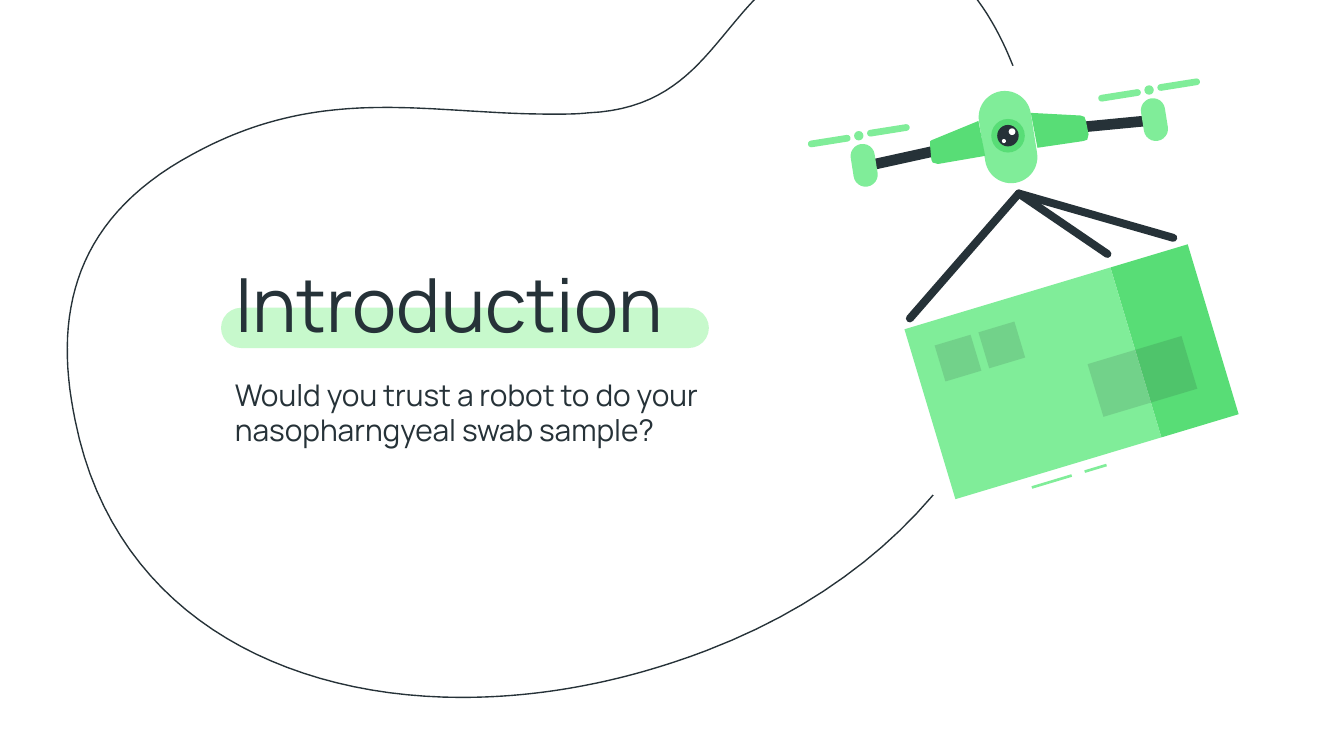
from dataclasses import dataclass
from math import cos, radians, sin

from lxml.etree import SubElement
from pptx import Presentation
from pptx.dml.color import RGBColor
from pptx.enum.shapes import MSO_CONNECTOR as Connector, MSO_SHAPE as Shape
from pptx.enum.text import MSO_ANCHOR as Anchor, MSO_AUTO_SIZE as AutoSize, PP_ALIGN as Align
from pptx.oxml.ns import qn
from pptx.util import Inches, Pt


@dataclass(frozen=True)
class Theme:
    font: str = "Manrope"
    title_size: int = 40
    body_size: int = 16
    ink: RGBColor = RGBColor(0x26, 0x32, 0x38)
    shade: RGBColor = RGBColor(0x1A, 0x23, 0x27)
    light: RGBColor = RGBColor(0x80, 0xED, 0x99)
    green: RGBColor = RGBColor(0x58, 0xDD, 0x76)
    highlight: RGBColor = RGBColor(0xC7, 0xF9, 0xCC)
    white: RGBColor = RGBColor(0xFF, 0xFF, 0xFF)


theme = Theme()
presentation = Presentation()
presentation.slide_width = Inches(10)
presentation.slide_height = presentation.slide_width * 9 // 16
column = row = presentation.slide_width // 10
slide = presentation.slides.add_slide(presentation.slide_layouts[5])
shapes = slide.shapes


def add_part(kind, center_x, center_y, width, height, colour, angle=0):
    part = shapes.add_shape(
        kind, int((center_x - width / 2) * column), int((center_y - height / 2) * row),
        int(width * column), int(height * row))
    part.rotation = angle
    part.shadow.inherit = False
    part.fill.solid()
    part.fill.fore_color.rgb = colour
    part.line.fill.background()
    if kind == Shape.ROUNDED_RECTANGLE:
        part.adjustments[0] = 0.5
    return part


def add_outline(points):
    corners = [(round(x * column), round(y * row)) for x, y in points]
    builder = shapes.build_freeform(*corners[0])
    builder.add_line_segments(corners[1:], close=True)
    outline = builder.convert_to_shape()
    outline.shadow.inherit = False
    return outline


start = (6.51, -0.44)
curves = [
    [(6.36, -0.44), (6.19, -0.4), (6.01, -0.31)],
    [(5.34, 0.04), (5.29, 0.8), (4.38, 0.84)],
    [(4.29, 0.85), (4.2, 0.85), (4.11, 0.85)],
    [(3.67, 0.85), (3.27, 0.8), (2.87, 0.8)],
    [(2.4, 0.8), (1.94, 0.87), (1.43, 1.15)],
    [(0.56, 1.62), (0.39, 2.32), (0.56, 3.13)],
    [(0.84, 4.53), (2.05, 5.19), (3.44, 5.19)],
    [(4.04, 5.19), (4.66, 5.07), (5.26, 4.84)],
    [(7.17, 4.11), (8.05, 2.42), (7.62, 0.74)],
    [(7.48, 0.23), (7.12, -0.44), start],
]
steps = 30
blob_points = [start]
for first, second, end in curves:
    origin = blob_points[-1]
    for step in range(1, steps + 1):
        t = step / steps
        blob_points.append(tuple(
            (1 - t) ** 3 * a + 3 * (1 - t) ** 2 * t * b + 3 * (1 - t) * t ** 2 * c + t ** 3 * d
            for a, b, c, d in zip(origin, first, second, end)))
blob = add_outline(blob_points)
blob.fill.background()
blob.line.color.rgb = theme.ink
blob.line.width = Pt(0.75)

add_part(Shape.ROUNDED_RECTANGLE, 3.46, 2.44, 3.63, 0.3, theme.highlight)

title = shapes.title
title.element.getparent().append(title.element)
subtitle = shapes.add_textbox(0, 0, column, row)
for box, text, size, top, height, space_after in [
    (title, "Introduction", theme.title_size, 1.82, 0.79, 0),
    (subtitle, "Would you trust a robot to do your nasopharngyeal swab sample?",
     theme.body_size, 2.7, 1.12, 16),
]:
    box.left, box.top = int(1.65 * column), int(top * row)
    box.width, box.height = int(4.23 * column), int(height * row)
    frame = box.text_frame
    frame.word_wrap = True
    frame.auto_size = AutoSize.NONE
    frame.vertical_anchor = Anchor.TOP
    frame.margin_left = frame.margin_right = Inches(0.1)
    frame.margin_top = frame.margin_bottom = Inches(0.1)
    frame.text = text
    paragraph = frame.paragraphs[0]
    paragraph.alignment = Align.LEFT
    paragraph.line_spacing = 1.0
    paragraph.space_after = Pt(space_after)
    paragraph.font.name = theme.font
    paragraph.font.size = Pt(size)
    paragraph.font.color.rgb = theme.ink

add_part(Shape.OVAL, 7.8, 2.19, 3.44, 3.44, theme.white)

parcel_left, parcel_top, parcel_tilt = 6.73, 2.45, -16.7
along, across = cos(radians(parcel_tilt)), sin(radians(parcel_tilt))
for left, top, width, height, colour in [
    (0.57, 1.39, 0.31, 0.02, theme.light),
    (0.98, 1.39, 0.17, 0.02, theme.light),
    (0, 0, 1.6, 1.32, theme.light),
    (1.6, 0, 0.6, 1.32, theme.green),
    (1.23, 0.64, 0.73, 0.41, theme.shade),
    (0.18, 0.18, 0.28, 0.28, theme.shade),
    (0.52, 0.18, 0.28, 0.28, theme.shade),
]:
    x, y = left + width / 2, top + height / 2
    panel = add_part(
        Shape.RECTANGLE, parcel_left + x * along - y * across,
        parcel_top + x * across + y * along, width, height, colour, parcel_tilt)
    if colour == theme.shade:
        fill_colour = panel.element.spPr.find(qn("a:solidFill")).find(qn("a:srgbClr"))
        SubElement(fill_colour, qn("a:alpha"), val="13000")

drone_tilt = -9
add_part(Shape.ROUNDED_RECTANGLE, 7.5, 1.02, 0.39, 0.69, theme.light, drone_tilt)
for x, y, size, colour in [
    (7.5, 1.01, 0.25, theme.green),
    (7.5, 1.01, 0.16, theme.ink),
    (7.53, 0.98, 0.05, theme.white),
    (7.47, 1.05, 0.03, theme.white),
]:
    add_part(Shape.OVAL, x, y, size, size, colour)

for x, y, tilt in [(8.32, 0.92, -5.5), (6.7, 1.18, -12.4)]:
    add_part(Shape.RECTANGLE, x, y, 0.54, 0.08, theme.ink, tilt)

for points in [
    [(7.67, 0.84), (7.72, 1.1), (8.06, 1.05), (8.09, 1.04),
     (8.1, 1), (8.08, 0.9), (8.07, 0.87), (8.04, 0.86)],
    [(7.28, 0.9), (6.94, 1.04), (6.92, 1.05), (6.92, 1.08),
     (6.93, 1.19), (6.94, 1.21), (6.98, 1.22), (7.33, 1.16)],
]:
    shoulder = add_outline(points)
    shoulder.fill.solid()
    shoulder.fill.fore_color.rgb = theme.green
    shoulder.line.fill.background()

for x, y in [(8.55, 0.67), (6.39, 1.01)]:
    add_part(Shape.OVAL, x, y, 0.07, 0.07, theme.light)
    add_part(Shape.ROUNDED_RECTANGLE, x + 0.04, y + 0.22, 0.18, 0.32, theme.light, drone_tilt)
    for side in (-1, 1):
        add_part(Shape.ROUNDED_RECTANGLE, x + 0.22 * side, y - 0.04 * side,
                 0.32, 0.05, theme.light, drone_tilt)

for end_x, end_y in [(8.73, 1.77), (8.24, 1.89), (6.77, 2.37)]:
    cable = shapes.add_connector(
        Connector.STRAIGHT, int(7.58 * column), int(1.44 * row),
        int(end_x * column), int(end_y * row))
    cable.line.color.rgb = theme.ink
    cable.line.width = Pt(4.25)
    cable.element.spPr.find(qn("a:ln")).set("cap", "rnd")
    SubElement(cable.element.spPr, qn("a:effectLst"))

presentation.save("out.pptx")
